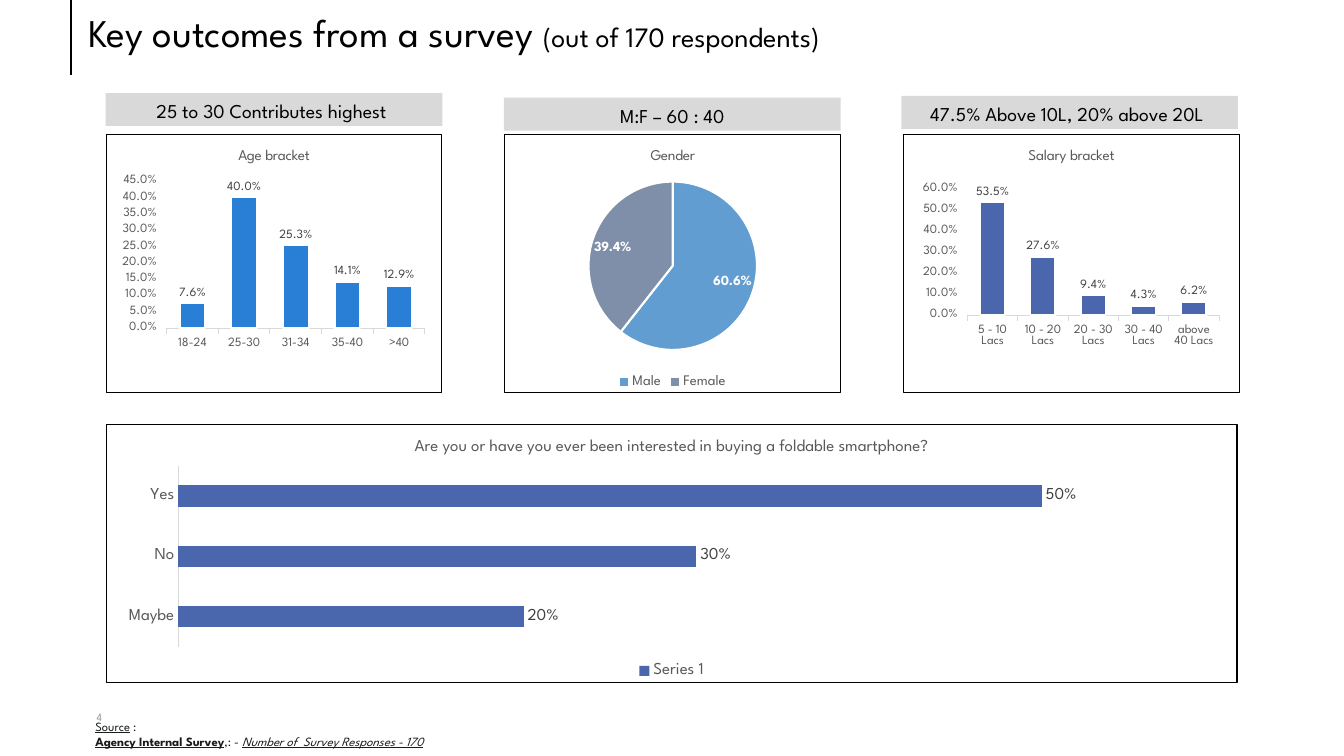
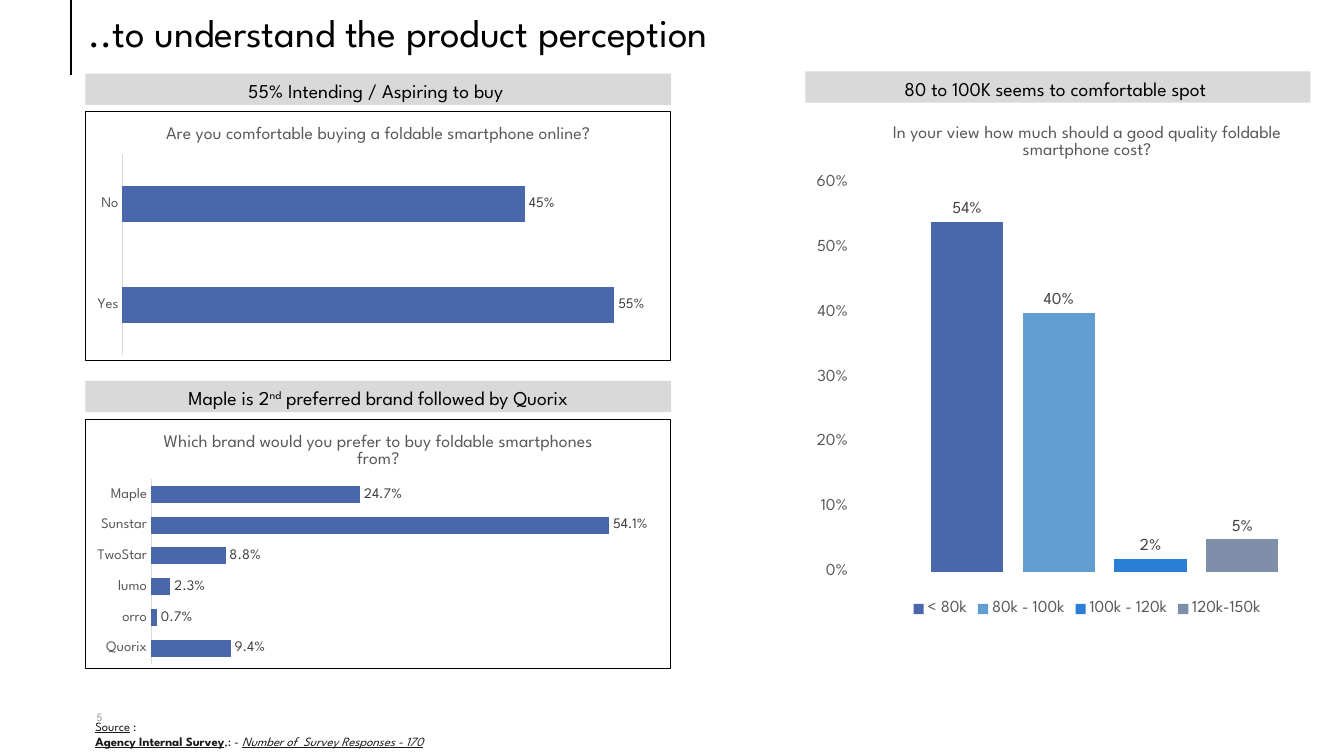
import pptx
import pptx.chart.data
import pptx.dml.color
import pptx.enum.chart
import pptx.enum.shapes
import pptx.enum.text
import pptx.oxml
import pptx.oxml.ns
import pptx.util

Pt = pptx.util.Pt
RGB = pptx.dml.color.RGBColor
Kind = pptx.enum.chart.XL_CHART_TYPE
Spot = pptx.enum.chart.XL_LABEL_POSITION
Tick = pptx.enum.chart.XL_TICK_MARK
Align = pptx.enum.text.PP_ALIGN
Anchor = pptx.enum.text.MSO_ANCHOR
qn = pptx.oxml.ns.qn

FONT = "League Spartan"
BLACK = RGB(0x00, 0x00, 0x00)
WHITE = RGB(0xFF, 0xFF, 0xFF)
INK = RGB(0x19, 0x1C, 0x1C)
DARK = RGB(0x40, 0x40, 0x40)
GREY = RGB(0x59, 0x59, 0x59)
PALE = RGB(0xD9, 0xD9, 0xD9)
MUTED = RGB(0x9D, 0x90, 0xA0)
NAVY = RGB(0x4A, 0x66, 0xAC)
SKY = RGB(0x62, 0x9D, 0xD1)
BLUE = RGB(0x29, 0x7F, 0xD5)
SLATE = RGB(0x7F, 0x8F, 0xA9)


def write(frame, runs, size=14, color=BLACK, align=None, line=None, after=None, anchor=Anchor.TOP):
    frame.word_wrap = True
    frame.vertical_anchor = anchor
    para = frame.paragraphs[0]
    para.alignment = align
    para.line_spacing = line
    para.space_after = after
    for text, style in runs:
        if text == "\n":
            para.add_line_break()
            continue
        run = para.add_run()
        run.text = text
        font = run.font
        font.name = FONT
        font.size = Pt(style.get("size", size))
        font.color.rgb = color
        font.bold = style.get("bold", False)
        font.italic = style.get("italic", False)
        font.underline = style.get("under", False)
        if "base" in style:
            run._r.get_or_add_rPr().set("baseline", style["base"])


def graph(slide, kind, box, title, cats, rows, colors, fmt="0%", size=12, head=12,
          gap=100, top=0.6, unit=0.1, plot=None, edge=False, frame=True,
          legend=0, overlap=None, cat=True, val=False, tick=Tick.NONE):
    data = pptx.chart.data.CategoryChartData(number_format=fmt)
    data.categories = cats
    for name, vals in rows:
        data.add_series(name, vals)
    chart = slide.shapes.add_chart(kind, *map(Pt, box), data).chart
    pie = kind == Kind.PIE
    chart.font.name = FONT
    chart.font.size = Pt(size)
    chart.font.color.rgb = GREY
    chart.has_title = True
    write(chart.chart_title.text_frame, [(title, {})], size=head, color=GREY)
    chart.chart_title.include_in_layout = False

    chart.has_legend = bool(legend)
    if legend:
        chart.legend.position = pptx.enum.chart.XL_LEGEND_POSITION.BOTTOM
        chart.legend.include_in_layout = False
        chart.legend.font.name = FONT
        chart.legend.font.size = Pt(legend)
        chart.legend.font.color.rgb = GREY

    group = chart.plots[0]
    group.vary_by_categories = pie
    group.has_data_labels = True
    labels = group.data_labels
    labels.show_value = True
    labels.show_percentage = False
    labels.number_format = fmt
    labels.number_format_is_linked = False
    labels.position = Spot.BEST_FIT if pie else Spot.OUTSIDE_END
    labels.font.name = FONT
    labels.font.size = Pt(10 if pie else size)
    labels.font.bold = pie
    labels.font.color.rgb = WHITE if pie else DARK

    series = list(group.series)
    parts = [series[0].points[i] for i in range(len(cats))] if pie else series
    for part, color in zip(parts, colors):
        part.format.fill.solid()
        part.format.fill.fore_color.rgb = color
        if edge:
            part.format.line.color.rgb = WHITE
            part.format.line.width = Pt(1.5)

    if not pie:
        group.gap_width = gap
        if overlap is not None:
            group.overlap = overlap
        for axis, show in ((chart.category_axis, cat), (chart.value_axis, val)):
            axis.visible = show
            axis.has_major_gridlines = False
            axis.major_tick_mark = tick
            axis.minor_tick_mark = Tick.NONE
            axis.tick_labels.font.name = FONT
            axis.tick_labels.font.size = Pt(size)
            axis.tick_labels.font.color.rgb = GREY
        chart.category_axis.format.line.color.rgb = PALE
        chart.category_axis.format.line.width = Pt(0.75)
        axis = chart.value_axis
        axis.format.line.fill.background()
        axis.minimum_scale = 0
        axis.maximum_scale = top
        axis.major_unit = unit
        axis.tick_labels.number_format = fmt
        axis.tick_labels.number_format_is_linked = False

    space = chart._chartSpace
    body = space.find(qn("c:chart"))
    names = pptx.oxml.ns.nsdecls("c", "a")
    if space.find(qn("c:roundedCorners")) is None:
        body.addprevious(pptx.oxml.parse_xml(f'<c:roundedCorners {names} val="0"/>'))
    fill = '<a:solidFill><a:srgbClr val="000000"/></a:solidFill>' if frame else "<a:noFill/>"
    body.addnext(pptx.oxml.parse_xml(
        f'<c:spPr {names}><a:noFill/><a:ln w="9525">{fill}</a:ln></c:spPr>'))
    if plot:
        area = body.find(qn("c:plotArea"))
        for old in area.findall(qn("c:layout")):
            area.remove(old)
        spots = "".join(f'<c:{k} val="{v}"/>' for k, v in zip("xywh", plot))
        area.insert(0, pptx.oxml.parse_xml(
            f'<c:layout {names}><c:manualLayout><c:layoutTarget val="inner"/>'
            f'<c:xMode val="edge"/><c:yMode val="edge"/>{spots}'
            f'</c:manualLayout></c:layout>'))


deck = pptx.Presentation()
deck.slide_width = Pt(960)
deck.slide_height = Pt(540)
first, second = [deck.slides.add_slide(deck.slide_layouts[6]) for _ in range(2)]

titles = [
    [("Key outcomes from a survey ", {}), ("(out of 170 respondents)", {"size": 20})],
    [("..to understand the product perception", {})],
]
source = [
    ("Source", {"under": True}),
    (" :", {}),
    ("\n", {}),
    ("Agency Internal Survey", {"bold": True, "under": True}),
    (",: - ", {}),
    ("Number of  Survey Responses - 170", {"italic": True, "under": True}),
]
for slide, title, number in zip((first, second), titles, "45"):
    rule = slide.shapes.add_connector(
        pptx.enum.shapes.MSO_CONNECTOR.STRAIGHT, Pt(50.5), Pt(0), Pt(50.5), Pt(53.5))
    rule.line.color.rgb = BLACK
    rule.line.width = Pt(1.5)
    rule._element.spPr.append(
        pptx.oxml.parse_xml(f'<a:effectLst {pptx.oxml.ns.nsdecls("a")}/>'))
    for box, runs, style in (
        ((62, 501, 39, 23), [(number, {})], dict(size=8, color=MUTED, anchor=Anchor.MIDDLE)),
        ((56, 6, 847.5, 85.5), title, dict(size=28, line=0.9)),
        ((61, 510, 848, 29), source, dict(size=9, color=INK)),
    ):
        write(slide.shapes.add_textbox(*map(Pt, box)).text_frame, runs, **style)

left, step, wide, tall = 75.5, 284.8, 240.5, 185
cards = [(left + step * i, 95.8, wide, tall) for i in range(3)]
column = dict(fmt="0.0%", size=9, head=10.8, edge=True, val=True, tick=Tick.OUTSIDE)
graph(first, Kind.COLUMN_CLUSTERED, cards[0], "Age bracket",
      ["18-24", "25-30", "31-34", "35-40", ">40"],
      [("Age bracket", [0.076, 0.4, 0.253, 0.141, 0.129])], [BLUE],
      top=0.45, unit=0.05, plot=(0.18, 0.18, 0.77, 0.57), **column)
graph(first, Kind.PIE, cards[1], "Gender", ["Male", "Female"],
      [("Gender", [0.606, 0.394])], [SKY, SLATE],
      fmt="0.0%", size=9, head=10.8, edge=True, legend=10.5)
graph(first, Kind.COLUMN_CLUSTERED, cards[2], "Salary bracket",
      ["5 - 10 Lacs", "10 - 20 Lacs", "20 - 30 Lacs", "30 - 40 Lacs", "above 40 Lacs"],
      [("Salary bracket", [0.535, 0.276, 0.094, 0.043, 0.062])], [NAVY],
      plot=(0.19, 0.21, 0.75, 0.49), **column)
graph(first, Kind.BAR_CLUSTERED, (left, 303, 808.5, tall),
      "Are you or have you ever been interested in buying a foldable smartphone?",
      ["Maybe", "No", "Yes"], [("Series 1", [0.2, 0.3, 0.5])], [NAVY],
      gap=182, legend=12)

side, half, high = 61, 418.5, 178.5
graph(second, Kind.BAR_CLUSTERED, (side, 79.2, half, high),
      "Are you comfortable buying a foldable smartphone online?",
      ["Yes", "No"], [("Series 1", [0.55, 0.45])], [NAVY],
      size=10.5, head=12.6, gap=182)
graph(second, Kind.BAR_CLUSTERED, (side, 299.5, half, high),
      "Which brand would you prefer to buy foldable smartphones from?",
      ["Quorix", "orro", "lumo", "TwoStar", "Sunstar", "Maple"],
      [("Series 1", [0.094, 0.007, 0.023, 0.088, 0.541, 0.247])], [NAVY],
      fmt="0.0%", size=10.5, head=12.6, gap=80)
graph(second, Kind.COLUMN_CLUSTERED, (575.3, 75, 402.5, 368.5),
      "In your view how much should a good quality foldable smartphone cost?",
      ["1"],
      [("< 80k", [0.54]), ("80k - 100k", [0.4]), ("100k - 120k", [0.02]), ("120k-150k", [0.05])],
      [NAVY, SKY, BLUE, SLATE],
      head=12.6, gap=219, overlap=-27, legend=12, frame=False, cat=False, val=True)

bands = [
    (first, (left, 66.5, wide, 23.5), [("25 to 30 Contributes highest ", {})]),
    (first, (360, 69.8, wide, 23.5), [("M:F – 60 : 40", {})]),
    (first, (643.8, 68.5, wide, 23.5), [("47.5% Above 10L, 20% above 20L ", {})]),
    (second, (side, 52.6, half, 22.3), [("55% Intending / Aspiring to buy ", {})]),
    (second, (575.3, 51, 360.7, 22.3), [("80 to 100K seems to comfortable spot ", {})]),
    (second, (side, 272, half, 22.3),
     [("Maple is 2", {}), ("nd", {"base": "30000"}),
      (" preferred brand followed by Quorix", {})]),
]
for slide, box, runs in bands:
    band = slide.shapes.add_shape(pptx.enum.shapes.MSO_SHAPE.RECTANGLE, *map(Pt, box))
    band.shadow.inherit = False
    band.fill.solid()
    band.fill.fore_color.rgb = PALE
    band.line.fill.background()
    frame = band.text_frame
    frame.margin_left = frame.margin_right = Pt(6)
    frame.margin_top = frame.margin_bottom = Pt(3.6)
    write(frame, runs, align=Align.CENTER, line=1.1, after=Pt(6), anchor=Anchor.MIDDLE)

deck.save("out.pptx")
